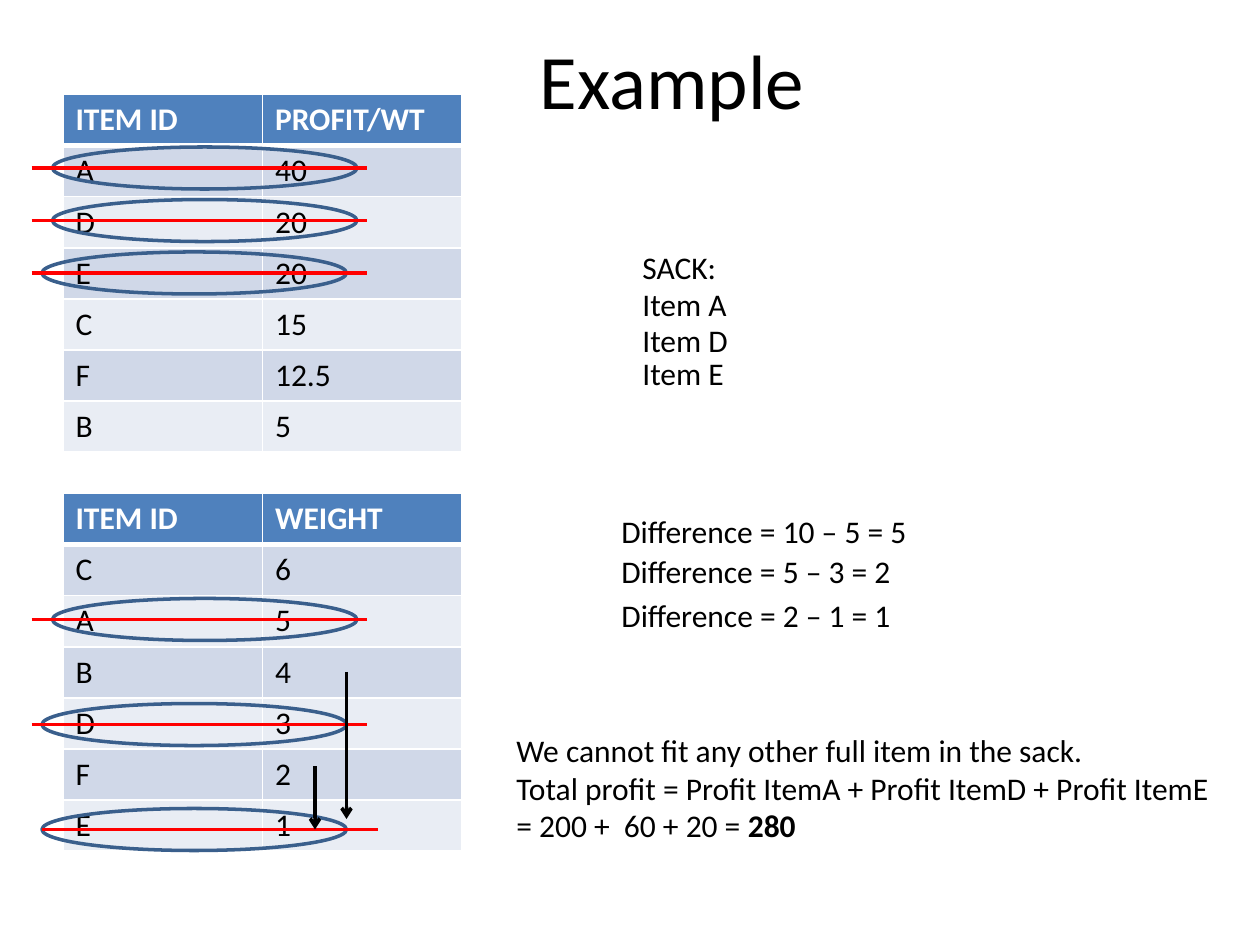
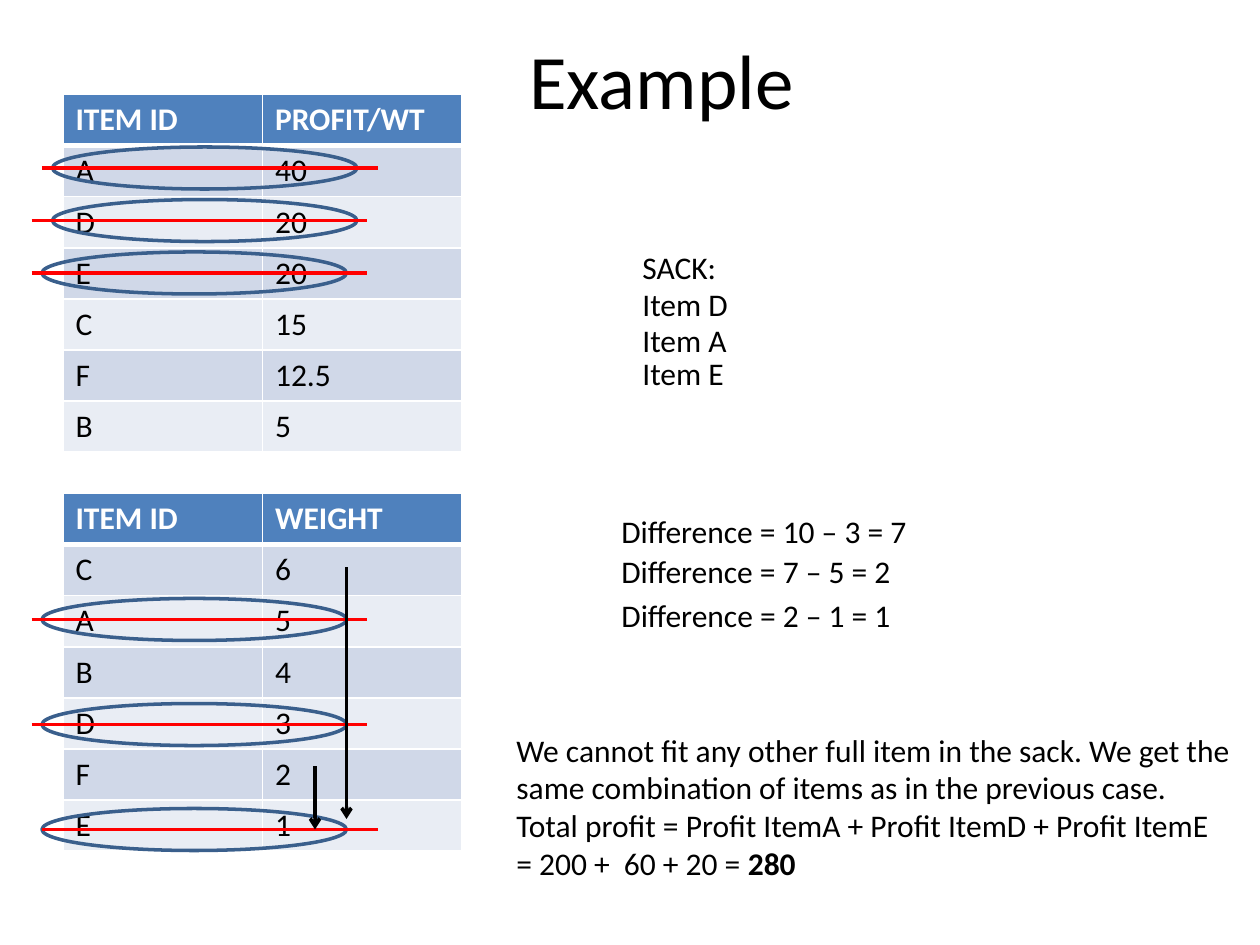
from lxml.etree import SubElement
from pptx import Presentation
from pptx.dml.color import RGBColor
from pptx.enum.shapes import MSO_CONNECTOR, MSO_SHAPE
from pptx.enum.text import MSO_ANCHOR, MSO_AUTO_SIZE, PP_ALIGN
from pptx.oxml.ns import qn
from pptx.util import Pt

FONT = "Calibri"
BLACK, WHITE, RED = "000000", "FFFFFF", "FF0000"
HEAD, RING = "4F81BD", "3A5F8C"
BANDS = ("D0D8E8", "E9EDF4")
ROW, COL = 29.2, 114
PROFIT = [("ITEM ID", "PROFIT/WT "), ("A", "40"), ("D", "20"), ("E", "20"),
          ("C", "15"), ("F", "12.5"), ("B", "5")]
WEIGHT = [("ITEM ID", "WEIGHT"), ("C", "6"), ("A", "5"), ("B", "4"),
          ("D", "3"), ("F", "2"), ("E", "1")]
TOTAL = ["Total profit = Profit ItemA + Profit ItemD + Profit ItemE",
         "= 200 +  60 + 20 = *280*"]


def color(code):
    """Turn a hex string into a colour."""
    return RGBColor.from_string(code)


def write(frame, lines, size=18, ink=BLACK, bold=False, align=PP_ALIGN.LEFT):
    """Fill a text frame, one paragraph a line; *stars* mark bold words."""
    for i, line in enumerate(lines):
        para = frame.paragraphs[0] if i == 0 else frame.add_paragraph()
        para.alignment = align
        for j, part in enumerate(line.split("*")):
            if part:
                run = para.add_run()
                run.text = part
                font = run.font
                font.name, font.size = FONT, Pt(size)
                font.bold = bold or j % 2 == 1
                font.color.rgb = color(ink)


def note(slide, left, top, width, height, lines, wrap=True):
    """Add a text box that grows with its lines."""
    frame = slide.shapes.add_textbox(
        Pt(left), Pt(top), Pt(width), Pt(height)).text_frame
    frame.word_wrap = wrap
    frame.auto_size = MSO_AUTO_SIZE.SHAPE_TO_FIT_TEXT
    write(frame, lines)


def title(slide, left, text):
    """Add the large centred slide title."""
    frame = slide.shapes.add_textbox(
        Pt(left), Pt(0), Pt(648), Pt(90)).text_frame
    frame.word_wrap = True
    frame.vertical_anchor = MSO_ANCHOR.MIDDLE
    write(frame, [text], size=44, align=PP_ALIGN.CENTER)


def edge(cell, side, width):
    """Draw one white border of a cell."""
    line = SubElement(cell._tc.get_or_add_tcPr(), qn("a:ln" + side),
                      w=str(Pt(width)))
    fill = SubElement(line, qn("a:solidFill"))
    SubElement(fill, qn("a:srgbClr"), val=WHITE)


def table(slide, top, rows):
    """Add a two-column banded table with a blue header."""
    grid = slide.shapes.add_table(
        len(rows), 2, Pt(36), Pt(top), Pt(2 * COL), Pt(ROW * len(rows))).table
    grid.horz_banding = False
    for col in grid.columns:
        col.width = Pt(COL)
    for i, row in enumerate(rows):
        grid.rows[i].height = Pt(ROW)
        for j, text in enumerate(row):
            cell = grid.cell(i, j)
            for side in "LRTB":
                thick = (i, side) in ((0, "B"), (1, "T"))
                edge(cell, side, 3 if thick else 1)
            cell.fill.solid()
            cell.fill.fore_color.rgb = color(BANDS[(i - 1) % 2] if i else HEAD)
            write(cell.text_frame, [text], ink=BLACK if i else WHITE,
                  bold=i == 0)


def line(slide, start, end, ink, width=2, arrow=False):
    """Add a straight line, with an arrowhead if asked."""
    link = slide.shapes.add_connector(
        MSO_CONNECTOR.STRAIGHT, *(Pt(n) for n in start + end))
    link.line.color.rgb = color(ink)
    link.line.width = Pt(width)
    if arrow:
        SubElement(link.line._get_or_add_ln(), qn("a:tailEnd"), type="arrow")
    SubElement(link._element.spPr, qn("a:effectLst"))


def strike(slide, mid, left, start, width=2):
    """Ring a table row and cross it out."""
    ring = slide.shapes.add_shape(
        MSO_SHAPE.OVAL, Pt(left), Pt(mid - 12), Pt(174), Pt(24))
    ring.shadow.inherit = False
    ring.fill.background()
    ring.line.color.rgb = color(RING)
    ring.line.width = Pt(2)
    line(slide, (start, mid), (start + 192, mid), RED, width)


def build(deck, head, marks, rise, items, sums, width, height, end):
    """Build one example slide."""
    slide = deck.slides.add_slide(deck.slide_layouts[6])
    title(slide, head, "Example")
    table(slide, 54, PROFIT)
    table(slide, 282, WEIGHT)
    for mark in marks:
        strike(slide, *mark)
    line(slide, (198, rise), (198, 468), BLACK, arrow=True)
    line(slide, (180, 438), (180, 474), BLACK, arrow=True)
    note(slide, 360, 138, 300, 51, ["SACK:", items[0]])
    for top, item in zip((180, 199), items[1:]):
        note(slide, 360, top, 84, 29, [item])
    for top, wide, text in zip((289, 312, 337), (186, 180, 171), sums):
        note(slide, 348, top, wide, 29, ["Difference = " + text],
             wrap=top < 337)
    note(slide, 288, 414, width, height, [end] + TOTAL)


def main():
    """Build both slides and save them."""
    deck = Presentation()
    deck.slide_width, deck.slide_height = Pt(720), Pt(540)
    last = [(156, 24, 18), (474, 24, 24)]
    full = "We cannot fit any other full item in the sack."
    build(deck, 60,
          [(96, 30, 18), (354, 30, 18), (126, 30, 18),
           (414, 24, 18, 2.25)] + last,
          384, ("Item A", "Item D", "Item E"),
          ("10 – 5 = 5", "5 – 3 = 2", "2 – 1 = 1"), 414, 73, full)
    build(deck, 54,
          [(126, 30, 18), (414, 24, 18), (96, 30, 24),
           (354, 24, 18, 2.25)] + last,
          324, ("Item D", "Item A", "Item E"),
          ("10 – 3 = 7", "7 – 5 = 2", "2 – 1 = 1"), 432, 94,
          full + " We get the same combination of items"
          " as in the previous case.")
    deck.save("out.pptx")


main()
